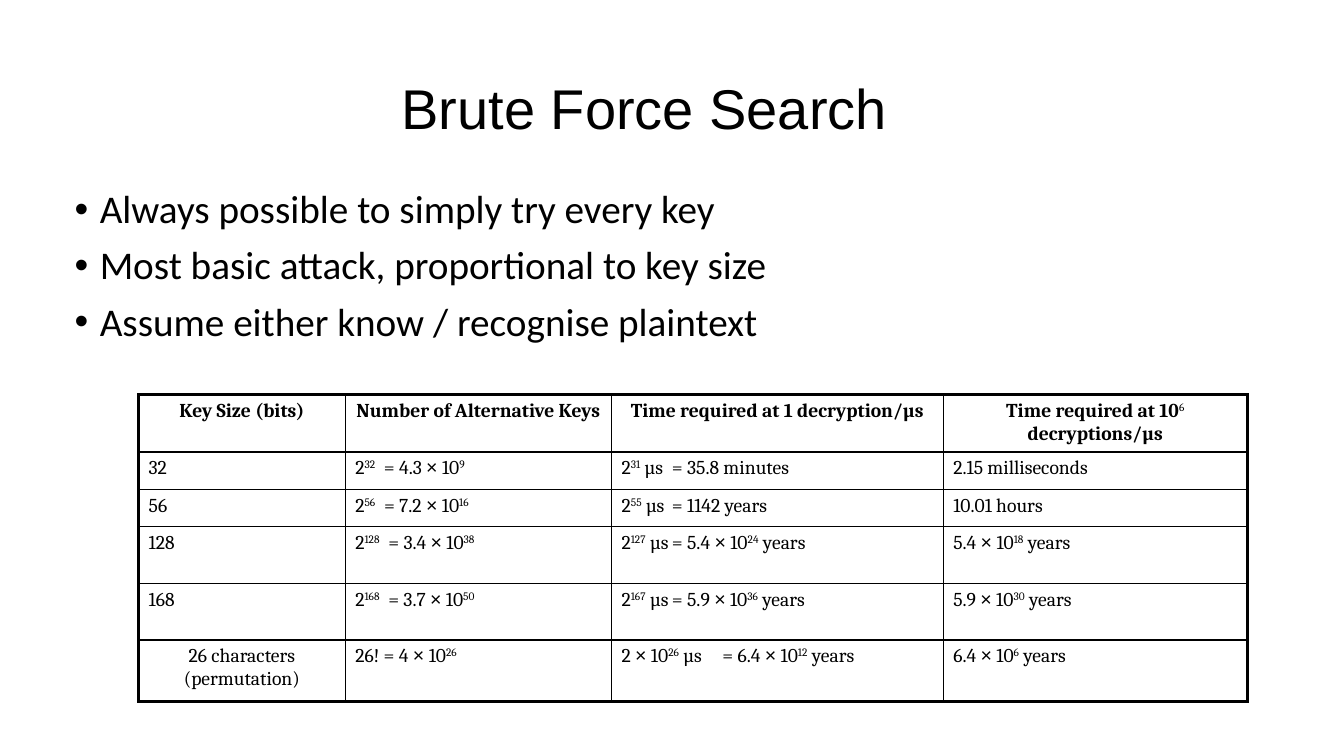
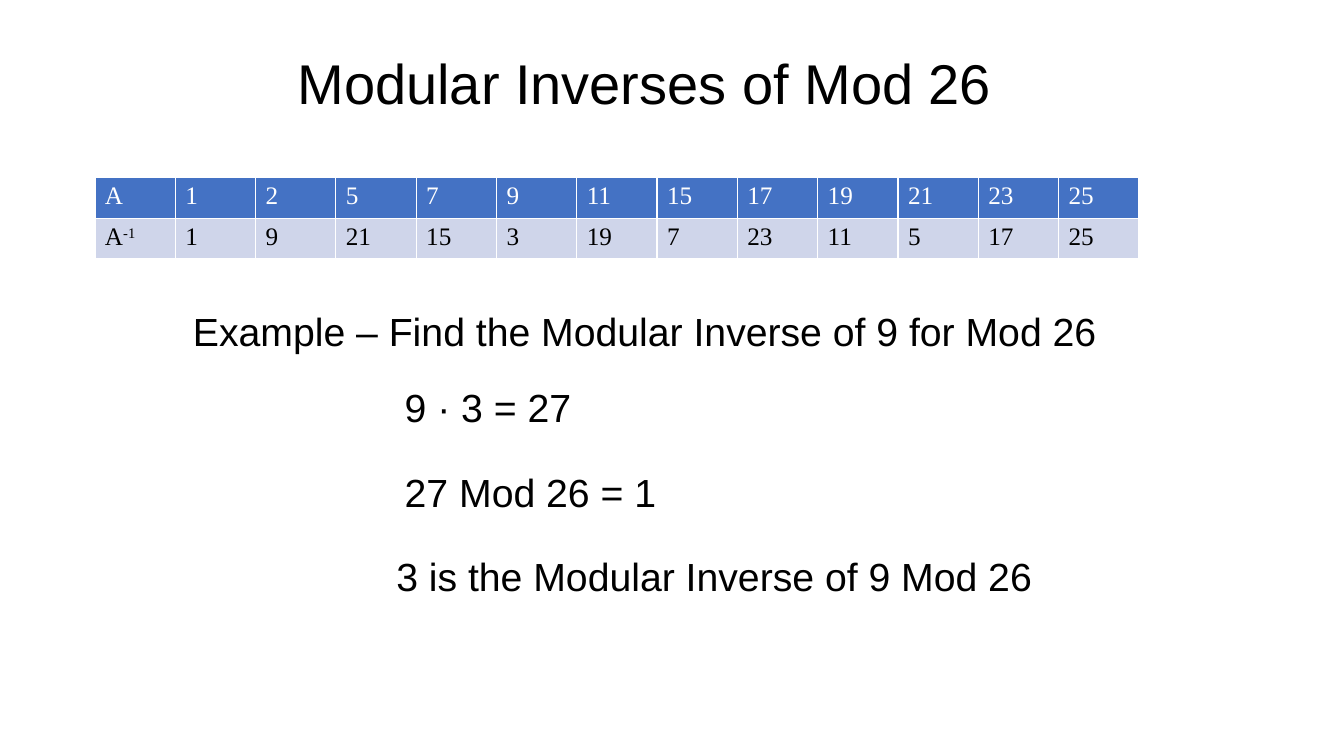
from lxml import etree
from pptx import Presentation, util as u
from pptx.dml.color import RGBColor
from pptx.enum import text as t
from pptx.oxml.ns import qn

COLS, ROWS = 160, 90
BLACK, WHITE, BLUE, PALE = "000000", "FFFFFF", "4472C4", "CFD5EA"
SANS, BODY, SERIF, ROMAN = "Arial", "Calibri", "Cambria", "Times New Roman"
MID = t.PP_ALIGN.CENTER


def color(code):
    return RGBColor.from_string(code)


class Deck:
    """Holds the style and the current slide; lengths are grid units."""

    def __init__(self):
        self.prs = Presentation()
        self.prs.slide_width = u.Inches(13.33)
        self.prs.slide_height = u.Inches(7.5)
        self.slide = None

    def x(self, cols):
        return round(self.prs.slide_width * cols / COLS)

    def y(self, rows):
        return round(self.prs.slide_height * rows / ROWS)

    def place(self, left, top, width, height):
        return self.x(left), self.y(top), self.x(width), self.y(height)

    # Text: ^ opens and closes a superscript
    def label(self, para, words, size, face, ink=BLACK, bold=False):
        font = para.font
        font.size, font.name, font.bold = u.Pt(size), face, bold
        font.color.rgb = color(ink)
        for i, piece in enumerate(words.split("^")):
            for part in filter(None, piece.partition("×")):
                run = para.add_run()
                run.text = part
                if part == "×":
                    run.font.name = SANS
                if i % 2:
                    run.font.bold = False
                    run._r.get_or_add_rPr().set("baseline", "30000")

    def frame(self, spot, wrap=True):
        frame = self.slide.shapes.add_textbox(*self.place(*spot)).text_frame
        frame.word_wrap = wrap
        return frame

    # Slide with its title
    def page(self, title, top):
        self.slide = self.prs.slides.add_slide(self.prs.slide_layouts[6])
        frame = self.frame((7.7, top, 138, 17.4))
        frame.vertical_anchor = t.MSO_ANCHOR.MIDDLE
        para = frame.paragraphs[0]
        para.alignment, para.line_spacing = MID, 0.9
        self.label(para, title, 40, SANS)

    def list(self, spot, items):
        frame = self.frame(spot)
        for i, item in enumerate(items):
            para = frame.add_paragraph() if i else frame.paragraphs[0]
            para.line_spacing, para.space_before = 0.9, u.Pt(10)
            props = para._p.get_or_add_pPr()
            props.set("marL", str(u.Inches(0.25)))
            props.set("indent", str(-u.Inches(0.25)))
            etree.SubElement(props, qn("a:buFont"), typeface=SANS)
            etree.SubElement(props, qn("a:buChar"), char="•")
            self.label(para, item, 28, BODY)

    def note(self, spot, words):
        frame = self.frame(spot, wrap=False)
        frame.auto_size = t.MSO_AUTO_SIZE.SHAPE_TO_FIT_TEXT
        self.label(frame.paragraphs[0], words, 28, SANS)

    # Table grid, and the style of one cell
    def table(self, left, top, wide, high):
        spot = self.place(left, top, sum(wide), sum(high))
        table = self.slide.shapes.add_table(len(high), len(wide), *spot).table
        table.first_row = table.horz_banding = False
        for col, width in zip(table.columns, wide):
            col.width = self.x(width)
        for row, height in zip(table.rows, high):
            row.height = self.y(height)
        return table

    def cell(self, cell, fill, edge, sides):
        cell.fill.solid()
        cell.fill.fore_color.rgb = color(fill)
        props = cell._tc.get_or_add_tcPr()
        for i, (side, width) in enumerate(zip("LRTB", sides)):
            line = etree.Element(qn("a:ln" + side), w=str(u.Pt(width)))
            ink = etree.SubElement(line, qn("a:solidFill"))
            etree.SubElement(ink, qn("a:srgbClr"), val=edge)
            props.insert(i, line)
        return cell.text_frame.paragraphs[0]


def search(deck):
    deck.page("Brute Force Search", 4.6)
    deck.list((7.7, 22, 126, 24), [
        "Always possible to simply try every key",
        "Most basic attack, proportional to key size",
        "Assume either know / recognise plaintext"])
    data = [
        ["Key Size (bits)", "Number of Alternative Keys",
         "Time required at 1 decryption/µs",
         "Time required at 10^6^ decryptions/µs"],
        ["32", "2^32^  = 4.3 × 10^9^", "2^31^ µs\t= 35.8 minutes",
         "2.15 milliseconds"],
        ["56", "2^56^  = 7.2 × 10^16^", "2^55^ µs\t= 1142 years",
         "10.01 hours"],
        ["128", "2^128^  = 3.4 × 10^38^",
         "2^127^ µs\t= 5.4 × 10^24^ years", "5.4 × 10^18^ years"],
        ["168", "2^168^  = 3.7 × 10^50^",
         "2^167^ µs\t= 5.9 × 10^36^ years", "5.9 × 10^30^ years"],
        ["26 characters (permutation)", "26! = 4 × 10^26^",
         "2 × 10^26^ µs\t= 6.4 × 10^12^ years", "6.4 × 10^6^ years"]]
    table = deck.table(16.5, 47, [24.6, 31.7, 39.5, 36.2],
                       [6.7, 4.45, 4.45, 6.75, 6.75, 7.3])
    end, last = len(data) - 1, len(data[0]) - 1
    for r, row in enumerate(data):
        for c, words in enumerate(row):
            outer = (c == 0, c == last, r == 0, r == end)
            sides = [2.25 if out else 1 for out in outer]
            para = deck.cell(table.cell(r, c), WHITE, BLACK, sides)
            para.space_before = para.space_after = u.Pt(3)
            if r == 0 or (r, c) == (end, 0):
                para.alignment = MID
            deck.label(para, words, 14, SERIF, bold=r == 0)


def inverse(deck):
    deck.page("Modular Inverses of Mod 26", 1.6)
    data = [
        ["A", 1, 2, 5, 7, 9, 11, 15, 17, 19, 21, 23, 25],
        ["A^-1^", 1, 9, 21, 15, 3, 19, 7, 23, 11, 5, 17, 25]]
    table = deck.table(11.3, 21.1, [9.56] * len(data[0]), [4.87] * 2)
    for r, (row, fill, ink) in enumerate(
            zip(data, (BLUE, PALE), (WHITE, BLACK))):
        for c, value in enumerate(row):
            para = deck.cell(table.cell(r, c), fill, WHITE, [1] * 4)
            deck.label(para, str(value), 18, ROMAN, ink)

    # Worked example
    deck.note((21.8, 36, 111.4, 6.8),
              "Example – Find the Modular Inverse of 9 for Mod 26")
    steps = [(47, 22.4, "9 · 3 = 27"), (47, 32.8, "27 Mod 26 = 1"),
             (46, 79.1, "3 is the Modular Inverse of 9 Mod 26")]
    for i, (left, width, words) in enumerate(steps):
        deck.note((left, 45 + 10.1 * i, width, 6.8), words)


def main():
    deck = Deck()
    search(deck)
    inverse(deck)
    deck.prs.save("out.pptx")


if __name__ == "__main__":
    main()
